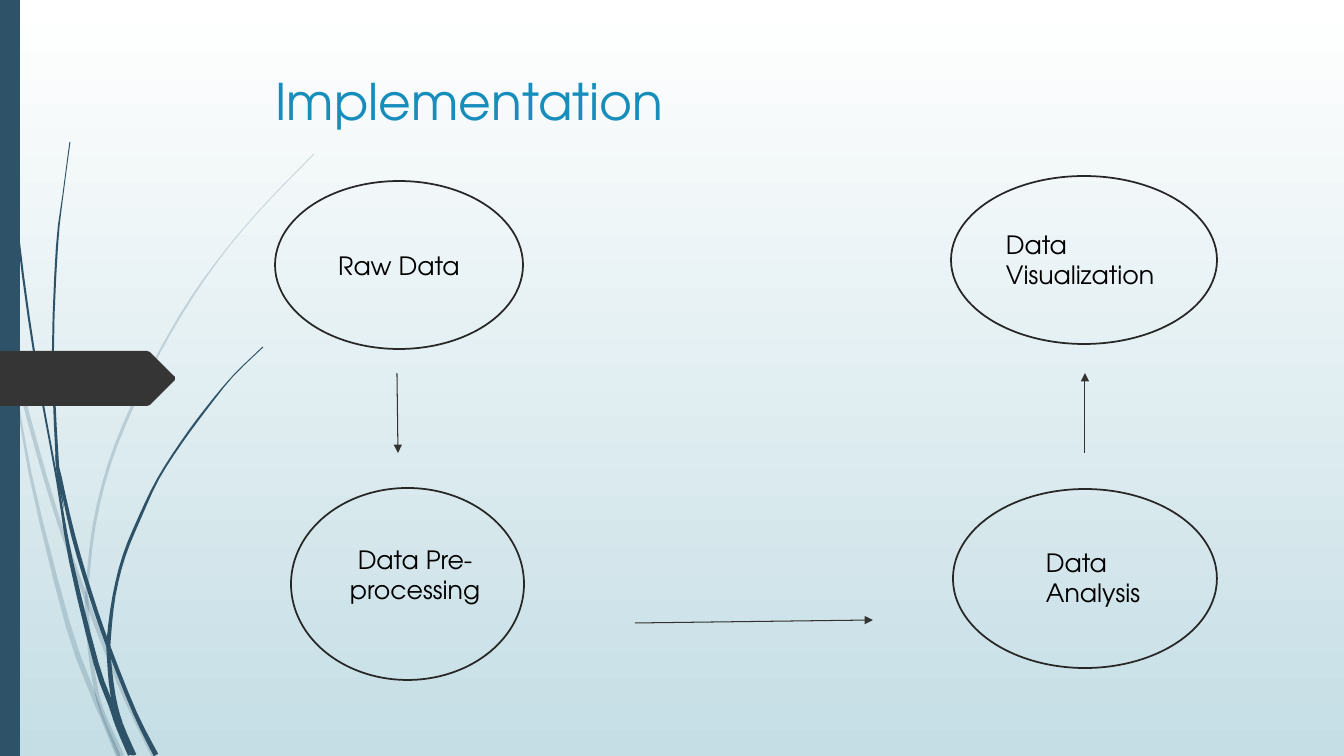
import math
import pptx
import pptx.util
import pptx.dml.color
import pptx.enum.shapes
import pptx.enum.text
import pptx.oxml
import pptx.oxml.ns

INK = {"blue": "2E5369", "tag": "353535", "title": "178DBB", "ring": "272727",
       "arrow": "333333", "text": "000000", "top": "FFFFFF", "base": "C5DEE5"}
FONT = "TeX Gyre Adventor"
ALIGN = pptx.enum.text.PP_ALIGN
ANCHOR = pptx.enum.text.MSO_ANCHOR
FIT = pptx.enum.text.MSO_AUTO_SIZE
KIND = pptx.enum.shapes.MSO_SHAPE
FRAME = {"word_wrap": True, "auto_size": FIT.NONE}
STEPS = 3


def px(num):
    return round(num * 914400 / 100.8)


def tint(name):
    return pptx.dml.color.RGBColor.from_string(INK[name])


def apply(item, form):
    for key, val in form.items():
        setattr(item, key, val)


def place(box, dx, dy, wide, high):
    return px(box[0] + dx), px(box[1] + dy), px(wide), px(high)


def child(node, tag, **attrs):
    part = pptx.oxml.parse_xml("<a:%s %s/>" % (tag, pptx.oxml.ns.nsdecls("a")))
    for key, val in attrs.items():
        part.set(key, val)
    node.append(part)


def paint(shape, ink, alpha=100):
    shape.shadow.inherit = False
    shape.fill.solid()
    shape.fill.fore_color.rgb = tint(ink)
    shape.line.fill.background()
    if alpha < 100:
        node = shape.fill._xPr.find(".//" + pptx.oxml.ns.qn("a:srgbClr"))
        child(node, "alpha", val=str(alpha * 1000))


def write(frame, text, size, ink, align, anchor):
    apply(frame, {**FRAME, "vertical_anchor": anchor, "text": text})
    para = frame.paragraphs[0]
    para.alignment = align
    font = para.runs[0].font
    apply(font, {"name": FONT, "size": pptx.util.Pt(size)})
    font.color.rgb = tint(ink)


def outline(slide, box, dots, ink, alpha=100):
    dots = [(px(box[0] + x), px(box[1] + y)) for x, y in dots]
    form = slide.shapes.build_freeform(*dots[0], scale=1.0)
    form.add_line_segments(dots[1:], close=True)
    paint(form.convert_to_shape(), ink, alpha)


def smooth(dots):
    ends = [dots[0]] + dots + [dots[-1]]
    curve = []
    for a, b, c, d in zip(ends, ends[1:], ends[2:], ends[3:]):
        for step in range(STEPS):
            t = step / STEPS
            curve.append(tuple(
                (2 * q + (r - p) * t + (2 * p - 5 * q + 4 * r - s) * t ** 2
                 + (3 * q - p - 3 * r + s) * t ** 3) / 2
                for p, q, r, s in zip(a, b, c, d)))
    return curve + [dots[-1]]


def blade(slide, box, alpha, cuts, dots):
    curve = smooth(dots)
    last = len(curve) - 1
    left, right = [], []
    for i, (x, y, wide) in enumerate(curve):
        before, after = curve[max(i - 1, 0)], curve[min(i + 1, last)]
        run, drop = after[0] - before[0], after[1] - before[1]
        half = wide / 2 / math.hypot(run, drop)
        left.append((x - drop * half, y + run * half))
        right.append((x + drop * half, y - run * half))
    marks = [0] + [cut * STEPS for cut in cuts] + [last]
    for start, end in zip(marks, marks[1:]):
        part = slice(start, end + 1)
        outline(slide, box, left[part] + right[part][::-1], "blue", alpha)


def grass(slide, box):
    blades = [
        (20, (1, 4), [(0, 293, 3), (11, 350, 4), (38, 452, 4), (60, 525, 4), (86, 598, 4),
                      (107, 653, 4), (126, 699, 4), (154, 756, 5)]),
        (20, (4,), [(11, 353, 1), (30, 473, 3), (68, 625, 5), (93, 694, 5),
                    (103, 720, 3), (118, 756, 4)]),
        (20, (8, 9, 12), [(314, 154, 1), (270, 199, 1), (229, 246, 1), (192, 297, 2),
                          (160, 351, 2), (132, 407, 3), (109, 465, 3), (94, 526, 3),
                          (87, 589, 3), (87, 609, 4), (90, 651, 4), (97, 694, 4),
                          (105, 717, 3), (122, 756, 5)]),
        (20, (), [(94, 689, 0), (102, 715, 2), (119, 756, 3)]),
        (100, (4, 8), [(4, 0, 1), (8, 110, 1), (18, 234, 2), (35, 358, 2), (57, 480, 2),
                       (71, 561, 4), (96, 663, 5), (111, 705, 5), (118, 727, 4),
                       (130, 755, 4)]),
        (100, (5, 8), [(70, 142, 1), (63, 195, 1), (57, 247, 2), (53, 352, 2),
                       (57, 455, 3), (60, 476, 3), (73, 535, 4), (91, 596, 4),
                       (109, 648, 4), (135, 713, 4), (156, 755, 5)]),
        (100, (), [(55, 453, 0), (59, 481, 3), (64, 509, 0)]),
        (100, (8, 9, 11), [(263, 347, 1), (233, 376, 1), (206, 409, 2), (181, 443, 2),
                           (158, 479, 2), (140, 517, 3), (124, 556, 3), (114, 596, 3),
                           (109, 637, 4), (109, 658, 4), (113, 695, 5), (121, 724, 4),
                           (135, 755, 3)]),
        (100, (), [(111, 697, 2), (119, 726, 3), (133, 755, 3)])]
    for row in blades:
        blade(slide, box, *row)


def side(slide, box):
    grass(slide, box)
    paint(slide.shapes.add_shape(KIND.RECTANGLE, *place(box, 0, 0, 20, box[3])), "blue")
    outline(slide, (box[0], box[1] + 351),
            [(0, 0), (147, 0), (150, 1), (175, 26), (175, 29), (150, 54),
             (147, 55), (0, 55)], "tag")


def head(slide, box, text):
    title = slide.shapes.title
    apply(title, dict(zip(("left", "top", "width", "height"), place(box, 0, 0, *box[2:]))))
    write(title.text_frame, text, 36, "title", ALIGN.LEFT, ANCHOR.MIDDLE)


def ring(slide, area):
    oval = slide.shapes.add_shape(KIND.OVAL, *area)
    oval.shadow.inherit = False
    oval.fill.background()
    oval.line.color.rgb = tint("ring")
    oval.line.width = pptx.util.Pt(1.25)
    return oval


def arrow(slide, box, start, end):
    ends = [px(box[i] + dot[i]) for dot in (start, end) for i in (0, 1)]
    link = slide.shapes.add_connector(pptx.enum.shapes.MSO_CONNECTOR.STRAIGHT, *ends)
    link.line.color.rgb = tint("arrow")
    link.line.width = pptx.util.Pt(0.75)
    child(link.line._get_or_add_ln(), "tailEnd", type="triangle")
    child(link._element.spPr, "effectLst")


def flow(slide, box):
    raw = ring(slide, place(box, 0, 5, 248, 168))
    write(raw.text_frame, "Raw Data", 18, "text", ALIGN.CENTER, ANCHOR.MIDDLE)
    steps = [
        ("Data Pre-processing", (16, 312, 233, 192), (37, 363, 206, 72), ALIGN.CENTER),
        ("Data Analysis", (678, 313, 264, 179), (761, 366, 180, 72), ALIGN.LEFT),
        ("Data Visualization", (676, 0, 266, 168), (721, 48, 177, 72), ALIGN.LEFT)]
    for text, oval, label, align in steps:
        ring(slide, place(box, *oval))
        area = slide.shapes.add_textbox(*place(box, *label))
        write(area.text_frame, text, 18, "text", align, ANCHOR.TOP)
    for start, end in (((122, 197), (123, 277)), ((360, 447), (598, 444)),
                       ((810, 277), (810, 197))):
        arrow(slide, box, start, end)


def sky(slide):
    fill = slide.background.fill
    fill.gradient()
    fill.gradient_angle = 270
    for stop, pos, ink in zip(fill.gradient_stops, (0, 1), ("top", "base")):
        stop.position = pos
        stop.color.rgb = tint(ink)


def build():
    deck = pptx.Presentation()
    apply(deck, {"slide_width": px(1344), "slide_height": px(756)})
    slide = deck.slides.add_slide(deck.slide_layouts[5])
    sky(slide)
    side(slide, (0, 0, 314, 756))
    head(slide, (265, 47, 983, 106), "Implementation")
    flow(slide, (275, 176, 942, 504))
    deck.save("out.pptx")


build()
